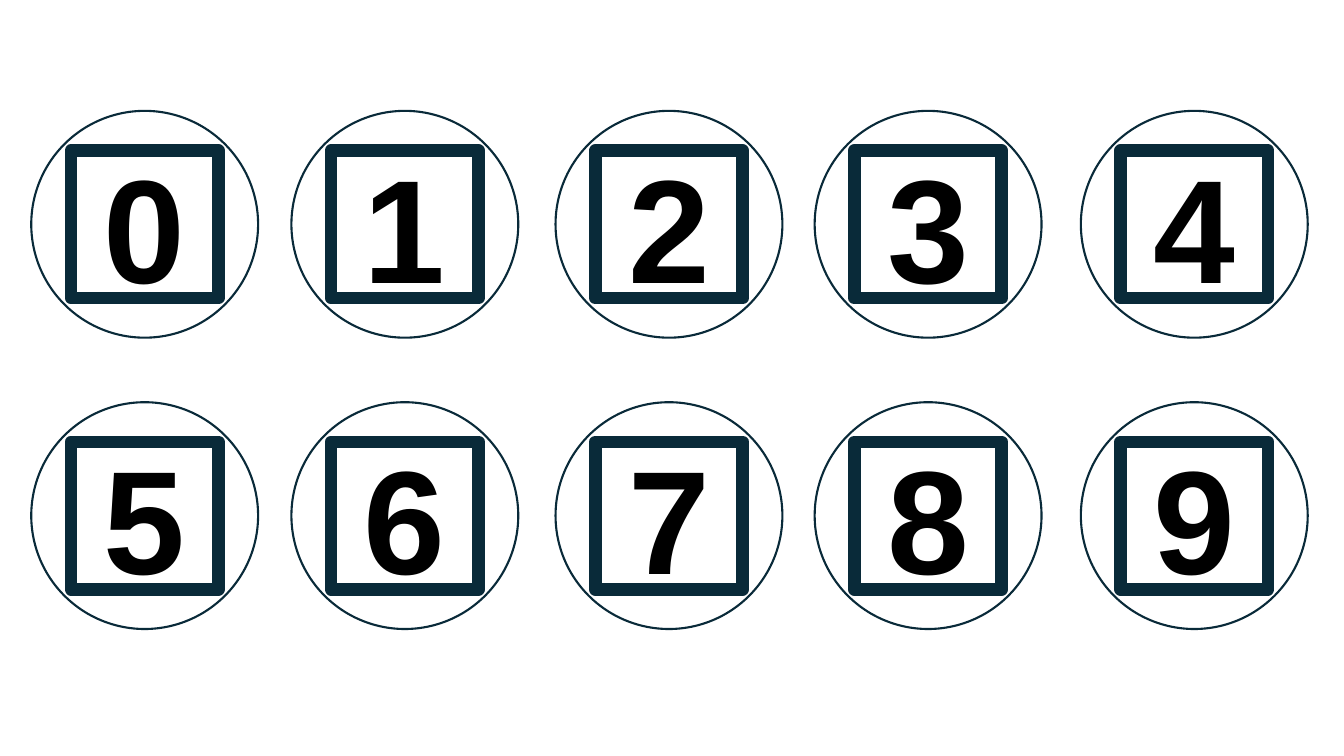
import pptx
import pptx.dml.color
import pptx.enum.shapes
import pptx.enum.text
import pptx.util

NAVY = pptx.dml.color.RGBColor(0x09, 0x2A, 0x39)
WHITE = pptx.dml.color.RGBColor(0xFF, 0xFF, 0xFF)
BLACK = pptx.dml.color.RGBColor(0x00, 0x00, 0x00)

# Grid of badges, in inches
COLUMNS = [0.31, 2.89, 5.51, 8.08, 10.72]
ROWS = [1.1, 3.99]
DIAMETER = 2.25
FRAME_SHARE = 0.65


def add_outlined(group, preset, left, top, size, line_width):
    outlined = group.shapes.add_shape(
        preset, *[pptx.util.Inches(length) for length in (left, top, size, size)])
    outlined.shadow.inherit = False
    outlined.line.color.rgb = NAVY
    outlined.line.width = pptx.util.Pt(line_width)
    return outlined


def add_badge(slide, digit, left, top, diameter):
    """Place a circle with a centred square frame around one digit."""
    badge = slide.shapes.add_group_shape()

    # Circle
    circle = add_outlined(badge, pptx.enum.shapes.MSO_SHAPE.OVAL,
                          left, top, diameter, 1.5)
    circle.fill.solid()
    circle.fill.fore_color.rgb = WHITE

    # Square frame
    side = diameter * FRAME_SHARE
    margin = (diameter - side) / 2
    frame = add_outlined(badge, pptx.enum.shapes.MSO_SHAPE.RECTANGLE,
                         left + margin, top + margin, side, 9)
    frame.fill.background()

    # Digit
    label = frame.text_frame
    label.text = str(digit)
    label.vertical_anchor = pptx.enum.text.MSO_ANCHOR.MIDDLE
    paragraph = label.paragraphs[0]
    paragraph.alignment = pptx.enum.text.PP_ALIGN.CENTER
    font = paragraph.runs[0].font
    font.name = "Arial"
    font.size = pptx.util.Pt(105)
    font.bold = True
    font.color.rgb = BLACK


def main():
    deck = pptx.Presentation()
    deck.slide_width = pptx.util.Inches(13.33)
    deck.slide_height = pptx.util.Inches(7.5)
    slide = deck.slides.add_slide(deck.slide_layouts[6])

    for digit in range(len(ROWS) * len(COLUMNS)):
        row, column = divmod(digit, len(COLUMNS))
        add_badge(slide, digit, COLUMNS[column], ROWS[row], DIAMETER)

    deck.save("out.pptx")


if __name__ == "__main__":
    main()
